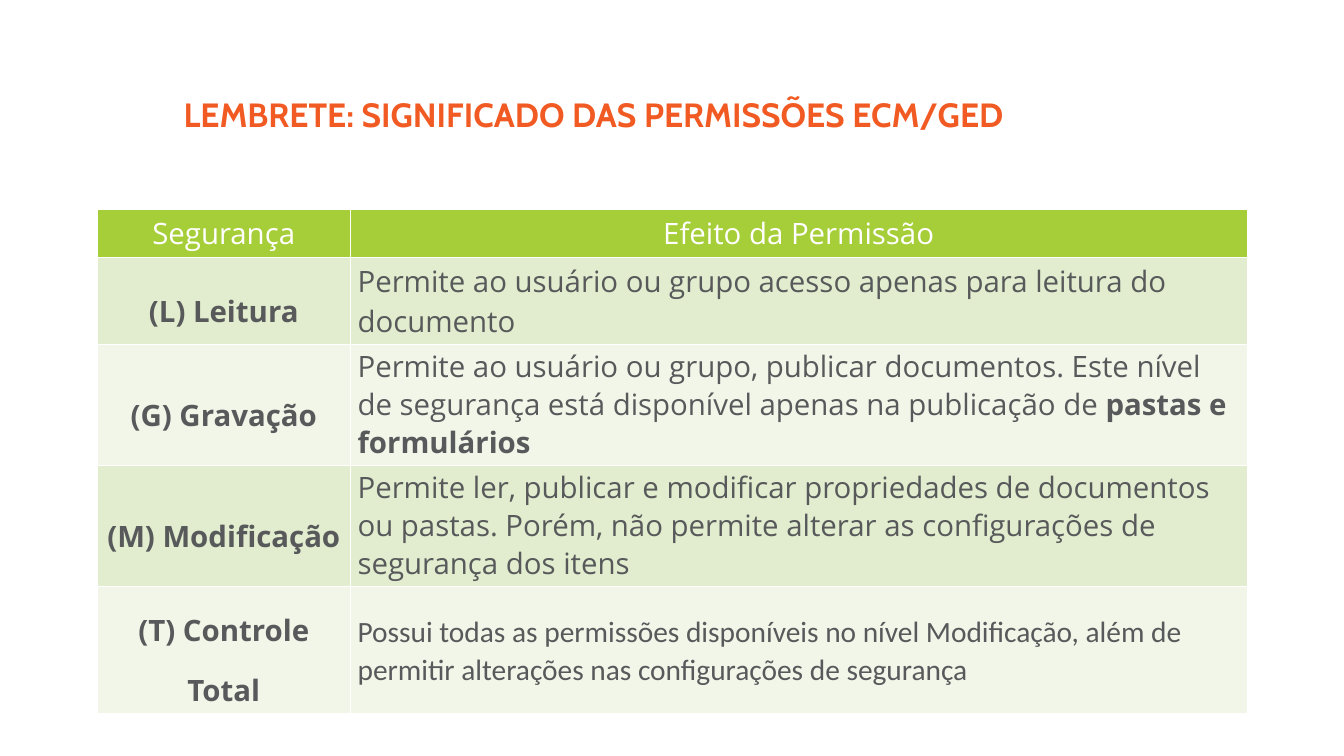
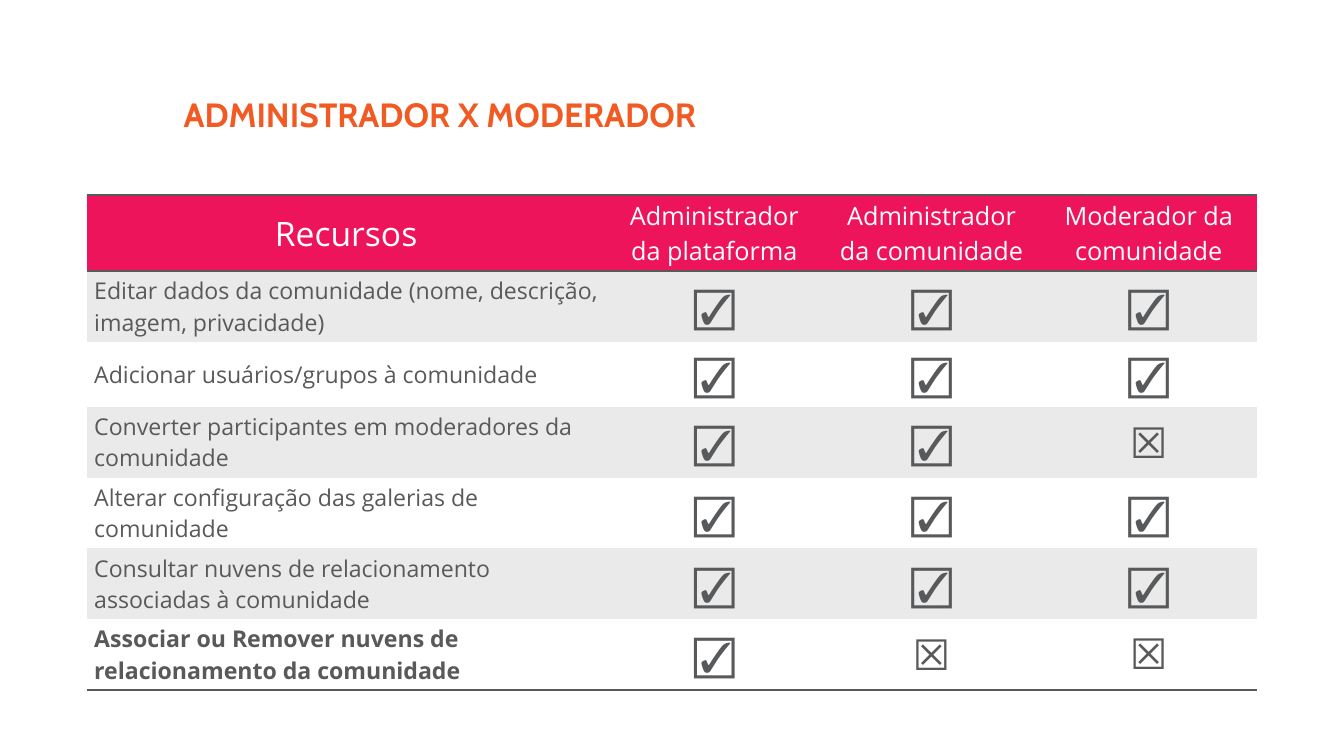
from dataclasses import dataclass

import pptx
import pptx.dml.color
import pptx.enum.text
import pptx.oxml.ns
import pptx.util
from lxml import etree

ALIGN = pptx.enum.text.PP_ALIGN
ANCHOR = pptx.enum.text.MSO_ANCHOR


@dataclass(frozen=True)
class Theme:
    title_font: str = "Cabin"
    body_font: str = "Open Sans"
    plain_font: str = "Calibri"
    title: str = "F15A22"
    ink: str = "58595B"
    white: str = "FFFFFF"
    green: str = "A6CE39"
    green_bands: tuple = ("E1EDCE", "F1F6E8")
    pink: str = "ED145B"
    grey_bands: tuple = ("EAEAEA", "FFFFFF")
    title_size: int = 32
    permission_size: int = 28
    role_size: int = 24
    resource_size: int = 22
    mark_size: int = 40


THEME = Theme()
SLIDE_W, SLIDE_H = pptx.util.Inches(17.77), pptx.util.Inches(10)

# Boxes are left, top, width, height in hundredths of the slide
TITLE_BOX = (13.11, 11.9, 78.22, 14.1)
PERMISSIONS_BOX = (7.25, 27.7, 85.55, 66.7)
ROLES_BOX = (6.45, 25.8, 87.1, 65.5)

PERMISSIONS = [
    ("(L) Leitura", "Permite ao usuário ou grupo acesso apenas para leitura do documento"),
    ("(G) Gravação", "Permite ao usuário ou grupo, publicar documentos. Este nível de "
     "segurança está disponível apenas na publicação de "),
    ("(M) Modificação", "Permite ler, publicar e modificar propriedades de documentos ou "
     "pastas. Porém, não permite alterar as configurações de segurança dos itens"),
    ("(T) Controle Total", "Possui todas as permissões disponíveis no nível Modificação, "
     "além de permitir alterações nas configurações de segurança"),
]
EMPHASIS = {"(G) Gravação": "pastas e formulários"}

ROLES = ["Administrador da plataforma", "Administrador da comunidade",
         "Moderador da comunidade"]
RESOURCES = [
    ("Editar dados da comunidade (nome, descrição, imagem, privacidade)", "☑☑☑"),
    ("Adicionar usuários/grupos à comunidade", "☑☑☑"),
    ("Converter participantes em moderadores da comunidade", "☑☑☒"),
    ("Alterar configuração das galerias de comunidade", "☑☑☑"),
    ("Consultar nuvens de relacionamento associadas à comunidade", "☑☑☑"),
    ("Associar ou Remover nuvens de relacionamento da comunidade", "☑☒☒"),
]


def place(box):
    left, top, width, height = box
    return (int(SLIDE_W * left / 100), int(SLIDE_H * top / 100),
            int(SLIDE_W * width / 100), int(SLIDE_H * height / 100))


def style(run, size, color, font=THEME.body_font, bold=False):
    run.font.name = font
    run.font.size = pptx.util.Pt(size)
    run.font.bold = bold
    run.font.color.rgb = pptx.dml.color.RGBColor.from_string(color)


def set_borders(cell, **edges):
    """Each edge is (colour, points), or None for no line."""
    properties = cell._tc.get_or_add_tcPr()
    for side in "LRTB":
        edge = edges.get(side)
        line = etree.SubElement(properties, pptx.oxml.ns.qn(f"a:ln{side}"))
        if edge is None:
            etree.SubElement(line, pptx.oxml.ns.qn("a:noFill"))
            continue
        color, points = edge
        line.set("w", str(pptx.util.Pt(points)))
        fill = etree.SubElement(line, pptx.oxml.ns.qn("a:solidFill"))
        etree.SubElement(fill, pptx.oxml.ns.qn("a:srgbClr")).set("val", color)


def fill_cell(cell, color):
    cell.fill.solid()
    cell.fill.fore_color.rgb = pptx.dml.color.RGBColor.from_string(color)


def write_cell(cell, text, size, color, align=None, anchor=ANCHOR.MIDDLE,
               spacing=None, **font):
    cell.text_frame.text = text
    cell.vertical_anchor = anchor
    paragraph = cell.text_frame.paragraphs[0]
    paragraph.alignment = align
    paragraph.line_spacing = spacing
    style(paragraph.runs[0], size, color, **font)
    return paragraph


def add_grid(slide, box, column_weights, row_weights):
    left, top, width, height = place(box)
    grid = slide.shapes.add_table(len(row_weights), len(column_weights),
                                  left, top, width, height).table
    grid.first_row = grid.horz_banding = False
    for column, weight in zip(grid.columns, column_weights):
        column.width = int(width * weight / sum(column_weights))
    for row, weight in zip(grid.rows, row_weights):
        row.height = int(height * weight / sum(row_weights))
    return grid


def paint_grid(grid, header_color, bands, edges_of_row):
    for r, row in enumerate(grid.rows):
        for cell in row.cells:
            set_borders(cell, **edges_of_row(r))
            fill_cell(cell, bands[(r - 1) % 2] if r else header_color)


def add_title(slide, box, words):
    heading = slide.shapes.add_textbox(*place(box)).text_frame
    heading.word_wrap = True
    heading.text = words
    style(heading.paragraphs[0].runs[0], THEME.title_size, THEME.title,
          THEME.title_font, bold=True)


def add_permissions(slide, box):
    grid = add_grid(slide, box, (3.34, 11.86), (0.64, 1.15, 1.6, 1.6, 1.68))
    thin = (THEME.white, 1)
    paint_grid(grid, THEME.green, THEME.green_bands,
               lambda r: dict.fromkeys("LRTB", thin))
    size = THEME.permission_size

    # Header
    for c, heading in enumerate(("Segurança", "Efeito da Permissão")):
        write_cell(grid.cell(0, c), heading, size, THEME.white, ALIGN.CENTER, ANCHOR.TOP)

    # One row per permission level
    for r, (level, effect) in enumerate(PERMISSIONS, 1):
        write_cell(grid.cell(r, 0), level, size, THEME.ink, ALIGN.CENTER,
                   spacing=1.5, bold=True)
        font = THEME.plain_font if r == len(PERMISSIONS) else THEME.body_font
        sentence = write_cell(grid.cell(r, 1), effect, size, THEME.ink, font=font,
                              spacing=pptx.util.Pt(36) if r > 1 else None)
        if level in EMPHASIS:
            stress = sentence.add_run()
            stress.text = EMPHASIS[level]
            style(stress, size, THEME.ink, bold=True)


def add_roles(slide, box):
    last = len(RESOURCES)
    grid = add_grid(slide, box, (6.86, 2.87, 2.87, 2.87),
                    (1.01, 0.94, 0.86, 0.94, 0.94, 0.94, 0.94))
    rule = (THEME.ink, 2)

    def edges(r):
        return dict(T=rule if r <= 1 else None, B=rule if r in (0, last) else None)

    paint_grid(grid, THEME.pink, THEME.grey_bands, edges)

    # Header
    write_cell(grid.cell(0, 0), "Recursos", THEME.title_size, THEME.white, ALIGN.CENTER)
    for c, role in enumerate(ROLES, 1):
        write_cell(grid.cell(0, c), role, THEME.role_size, THEME.white, ALIGN.CENTER)

    # Resources and the marks of each role
    for r, (resource, marks) in enumerate(RESOURCES, 1):
        write_cell(grid.cell(r, 0), resource, THEME.resource_size, THEME.ink,
                   bold=r == last)
        for c, mark in enumerate(marks, 1):
            corner = r == last and c == len(ROLES)
            write_cell(grid.cell(r, c), mark, THEME.mark_size, THEME.ink, ALIGN.CENTER,
                       font=THEME.plain_font if corner else THEME.body_font,
                       bold=mark == "☒")


def main():
    deck = pptx.Presentation()
    deck.slide_width, deck.slide_height = SLIDE_W, SLIDE_H
    pages = [
        ("LEMBRETE: SIGNIFICADO DAS PERMISSÕES ECM/GED", add_permissions, PERMISSIONS_BOX),
        ("ADMINISTRADOR X MODERADOR", add_roles, ROLES_BOX),
    ]
    for words, add_content, box in pages:
        slide = deck.slides.add_slide(deck.slide_layouts[6])
        add_title(slide, TITLE_BOX, words)
        add_content(slide, box)
    deck.save("out.pptx")


if __name__ == "__main__":
    main()
